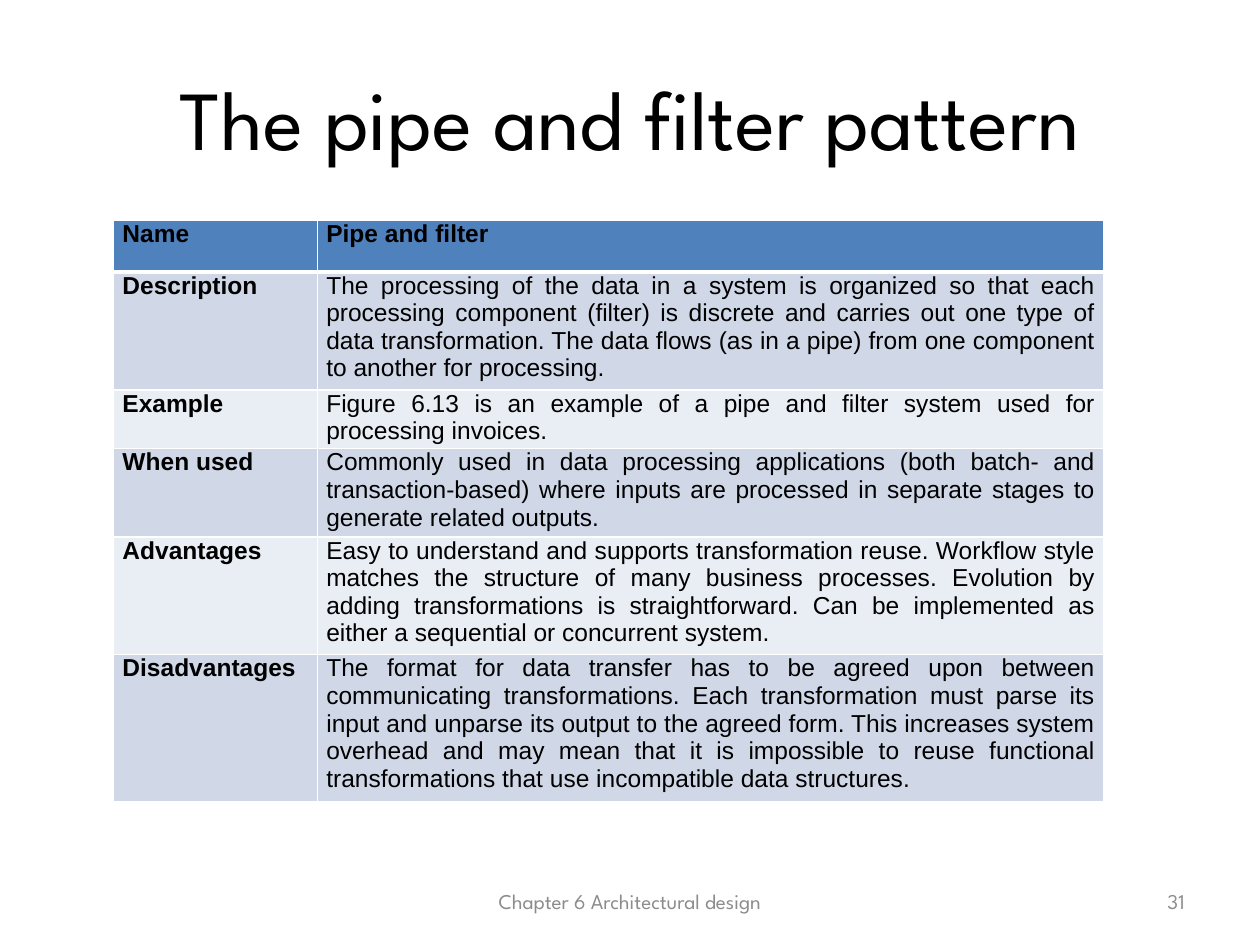
from dataclasses import dataclass

from lxml import etree
from pptx import Presentation, util as u
from pptx.dml.color import RGBColor
from pptx.enum import text
from pptx.oxml import ns

Pt = u.Pt


@dataclass(frozen=True)
class Theme:
    ink: str = "000000"
    muted: str = "8C8C8C"
    border: str = "FFFFFF"
    header: str = "4F81BD"
    bands: tuple = ("D0D8E8", "E9EDF4")
    display_font: str = "League Spartan"
    body_font: str = "Arial"
    title_size: float = 48
    body_size: float = 14
    footer_size: float = 12


THEME = Theme()
LINE_HEIGHT = 15.75
HEADER_HEIGHT = 29.5
COLUMN_SHARES = (116.5, 449.5)

# Label, content and number of text lines in the content
PATTERN_ROWS = [
    ("Description",
     "The processing of the data in a system is organized so that each "
     "processing component (filter) is discrete and carries out one type of "
     "data transformation. The data flows (as in a pipe) from one component "
     "to another for processing.", 4),
    ("Example",
     "Figure 6.13 is an example of a pipe and filter system used for "
     "processing invoices.", 2),
    ("When used",
     "Commonly used in data processing applications (both batch- and "
     "transaction-based) where inputs are processed in separate stages to "
     "generate related outputs.", 3),
    ("Advantages",
     "Easy to understand and supports transformation reuse. Workflow style "
     "matches the structure of many business processes. Evolution by adding "
     "transformations is straightforward. Can be implemented as either a "
     "sequential or concurrent system.", 4),
    ("Disadvantages",
     "The format for data transfer has to be agreed upon between "
     "communicating transformations. Each transformation must parse its "
     "input and unparse its output to the agreed form. This increases system "
     "overhead and may mean that it is impossible to reuse functional "
     "transformations that use incompatible data structures.", 5),
]


def write_text(frame, content, *, size, font, color=THEME.ink, bold=False,
               align=text.PP_ALIGN.CENTER):
    frame.word_wrap = True
    paragraph = frame.paragraphs[0]
    paragraph.alignment = align
    run = paragraph.add_run()
    run.text = content
    run.font.size = Pt(size)
    run.font.name = font
    run.font.bold = bold
    run.font.color.rgb = RGBColor.from_string(color)


def add_label(slide, box, content, **text_format):
    shape = slide.shapes.add_textbox(*map(Pt, box))
    shape.text_frame.vertical_anchor = text.MSO_ANCHOR.MIDDLE
    write_text(shape.text_frame, content, font=THEME.display_font,
               **text_format)


def set_borders(cell, top=1, bottom=1):
    properties = cell._tc.get_or_add_tcPr()
    for side, width in (("L", 1), ("R", 1), ("T", top), ("B", bottom)):
        line = etree.SubElement(properties, ns.qn(f"a:ln{side}"),
                                w=str(Pt(width)))
        fill = etree.SubElement(line, ns.qn("a:solidFill"))
        etree.SubElement(fill, ns.qn("a:srgbClr"), val=THEME.border)


def format_cell(cell, content, fill, bold, **borders):
    cell.margin_left = cell.margin_right = Pt(5)
    cell.margin_top = cell.margin_bottom = 0
    set_borders(cell, **borders)
    cell.fill.solid()
    cell.fill.fore_color.rgb = RGBColor.from_string(fill)
    write_text(cell.text_frame, content, size=THEME.body_size,
               font=THEME.body_font, bold=bold, align=text.PP_ALIGN.JUSTIFY)


def add_pattern_table(slide, box):
    left, top, width, height = box
    table = slide.shapes.add_table(len(PATTERN_ROWS) + 1, 2,
                                   *map(Pt, box)).table
    for column, share in zip(table.columns, COLUMN_SHARES):
        column.width = Pt(width * share / sum(COLUMN_SHARES))

    # Header row, with a heavier rule below it
    table.rows[0].height = Pt(HEADER_HEIGHT)
    for cell, content in zip(table.rows[0].cells, ("Name", "Pipe and filter")):
        format_cell(cell, content, THEME.header, True, bottom=3)

    # Banded rows, as tall as their text
    for index, (label, content, lines) in enumerate(PATTERN_ROWS):
        row = table.rows[index + 1]
        row.height = Pt(lines * LINE_HEIGHT)
        fill = THEME.bands[index % 2]
        rule = 3 if index == 0 else 1
        format_cell(row.cells[0], label, fill, True, top=rule)
        format_cell(row.cells[1], content, fill, False, top=rule)


def add_footer(slide, box):
    left, top, width, height = box
    footer_format = dict(size=THEME.footer_size, color=THEME.muted)
    add_label(slide, (left + 210, top, 228, height),
              "Chapter 6 Architectural design", **footer_format)
    add_label(slide, (left + width - 168, top, 168, height), "31",
              align=text.PP_ALIGN.RIGHT, **footer_format)


def main():
    presentation = Presentation()
    presentation.slide_width = Pt(720)
    presentation.slide_height = Pt(540)
    slide = presentation.slides.add_slide(presentation.slide_layouts[6])

    add_label(slide, (36, 21.6, 648, 90), "The pipe and filter pattern",
              size=THEME.title_size)
    table_height = HEADER_HEIGHT + LINE_HEIGHT * sum(
        row[2] for row in PATTERN_ROWS)
    add_pattern_table(slide, (65, 126, 566, table_height))
    add_footer(slide, (36, 500.5, 648, 28.8))

    presentation.save("out.pptx")


if __name__ == "__main__":
    main()
